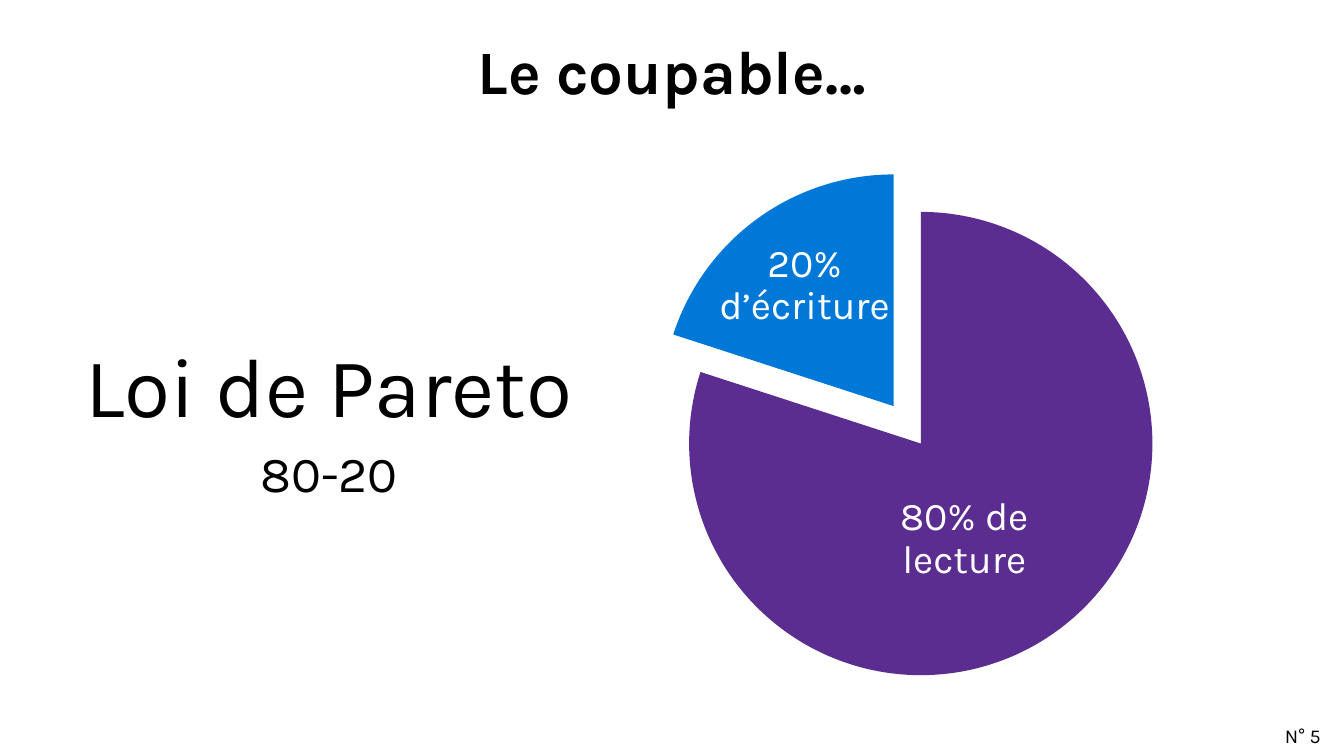
from lxml import etree
from pptx import Presentation
from pptx.chart.data import CategoryChartData as Data
from pptx.dml.color import RGBColor as RGB
from pptx.enum.chart import XL_CHART_TYPE as Chart
from pptx.enum.text import MSO_ANCHOR as Anchor, PP_ALIGN as Align
from pptx.oxml import parse_xml
from pptx.oxml.ns import nsdecls, qn
from pptx.util import Pt

WIDE, HIGH = 960, 540
FONT = "Karla"
COLORS = {
    "black": "000000", "white": "FFFFFF", "purple": "5C2D91",
    "blue": "0078D7", "light": "D0CECE", "gray": "A5A5A5",
}
SLICES = [("1", 80, "purple"), ("2", 20, "blue"), ("3", 0, "light"), ("4", 0, "gray")]


def color(name):
    return RGB.from_string(COLORS[name])


def add_text(slide, box, lines, ink="black", bold=False, align=Align.CENTER,
             space=0.9, before=10):
    """Write (text, size) lines, centred vertically in the box."""
    frame = slide.shapes.add_textbox(*map(Pt, box)).text_frame
    frame.word_wrap = True
    frame.vertical_anchor = Anchor.MIDDLE
    for i, (text, size) in enumerate(lines):
        para = frame.add_paragraph() if i else frame.paragraphs[0]
        para.alignment = align
        para.line_spacing = space
        para.space_before = Pt(before)
        run = para.add_run()
        run.text = text
        font = run.font
        font.name, font.size, font.bold = FONT, Pt(size), bold
        font.color.rgb = color(ink)


def add_head(slide, box):
    add_text(slide, box, [("Le coupable…", 44)], bold=True, before=0)


def add_law(slide, box):
    add_text(slide, box, [("Loi de Pareto", 60), ("80-20", 36)])


def set_plot(chart, wide, high):
    """Centre a plot area with the given shares of the chart's size."""
    area = chart.plots[0]._element.getparent()
    for old in area.findall(qn("c:layout")):
        area.remove(old)
    parts = {"x": (1 - wide) / 2, "y": (1 - high) / 2, "w": wide, "h": high}
    sizes = "".join(f'<c:{key} val="{val:.3f}"/>' for key, val in parts.items())
    area.insert(0, parse_xml(
        f'<c:layout {nsdecls("c")}><c:manualLayout><c:layoutTarget val="inner"/>'
        f'<c:xMode val="edge"/><c:yMode val="edge"/>{sizes}'
        '</c:manualLayout></c:layout>'))


def add_pie(slide, box):
    """Draw the split pie and its two captions."""
    left, top, wide, high = box
    data = Data()
    data.categories = [name for name, _, _ in SLICES]
    data.add_series("Series 1", [val for _, val, _ in SLICES])
    chart = slide.shapes.add_chart(Chart.PIE, *map(Pt, box), data).chart
    chart.has_legend = chart.has_title = False
    chart.font.name, chart.font.size = "Lato", Pt(10)
    chart.font.color.rgb = color("black")
    plot = chart.plots[0]
    plot.vary_by_categories = True
    series = plot.series[0]
    for i, (_, _, ink) in enumerate(SLICES):
        form = series.points[i].format
        form.fill.solid()
        form.fill.fore_color.rgb = color(ink)
        form.line.fill.background()
    split = etree.Element(qn("c:explosion"), val="10")
    series._element.find(qn("c:dPt")).addprevious(split)
    side = 364
    set_plot(chart, side / wide, side / high)

    for text, dx, dy in [("80% de lecture", 181.5, 202.5),
                         ("20% d’écriture", 67.5, 21.5)]:
        add_text(slide, (left + dx, top + dy, 160.5, 142.5), [(text, 28)], ink="white")


def add_foot(slide, box):
    add_text(slide, box, [("N° 5", 14)], align=Align.RIGHT, space=1, before=0)


def main():
    deck = Presentation()
    deck.slide_width, deck.slide_height = Pt(WIDE), Pt(HIGH)
    slide = deck.slides.add_slide(deck.slide_layouts[6])
    add_law(slide, (12, 126.5, 446, 353))
    add_head(slide, (0, 29, WIDE, 49))
    add_foot(slide, (734.5, 511, 216, 29))
    add_pie(slide, (427, 111.5, 442, 384))
    deck.save("out.pptx")


if __name__ == "__main__":
    main()
